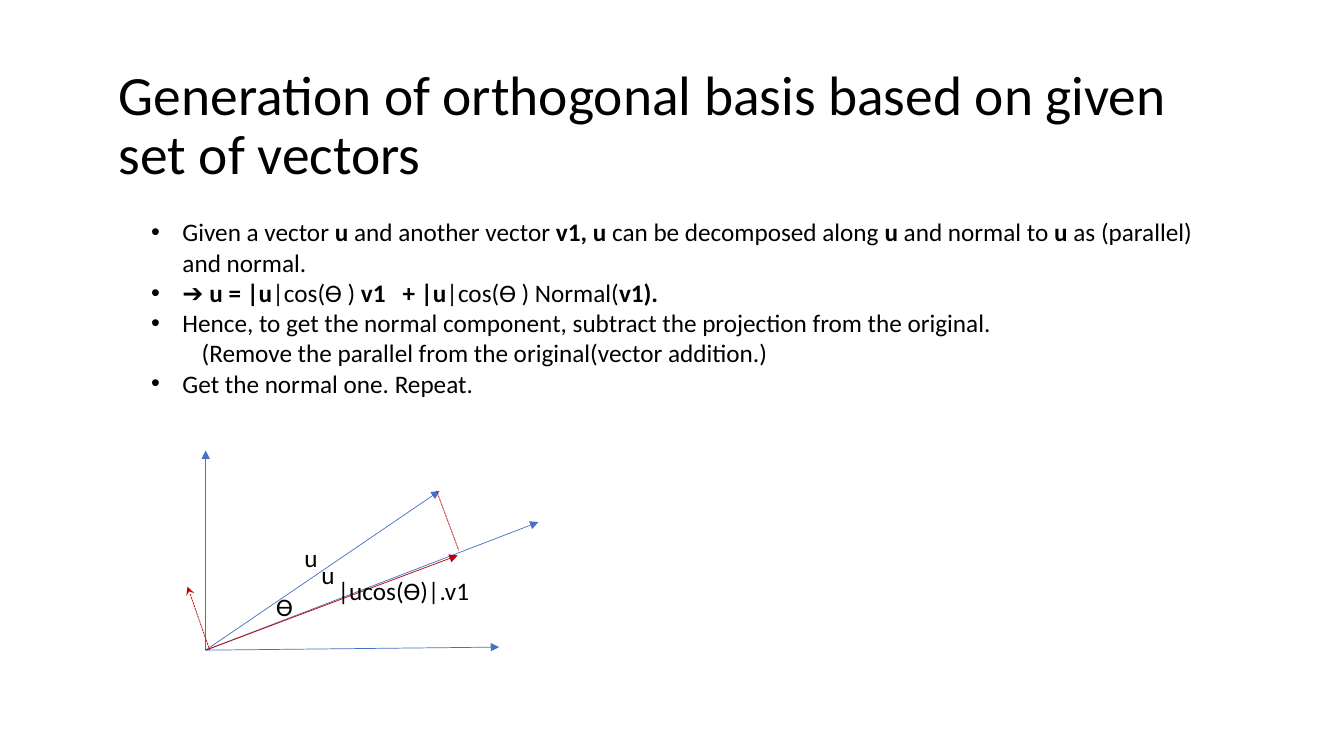
"""Build a slide on generating an orthogonal basis from given vectors."""
from pptx import Presentation
from pptx import util as u
from pptx.dml.color import RGBColor
from pptx.enum import dml, shapes, text
from pptx.oxml.ns import qn
from lxml import etree

COLORS = {"ink": "000000", "vector": "4472C4", "projection": "C00000"}


class SlideBuilder:
    """Hold the style and the current slide, and add elements to it."""

    def __init__(self, deck, font="Calibri", size=18):
        """Start a title-and-content slide."""
        self.slide = deck.slides.add_slide(deck.slide_layouts[1])
        self.font, self.size = font, size

    def place(self, shape, left, top, width, height):
        """Move and size a shape."""
        shape.left, shape.top = u.Inches(left), u.Inches(top)
        shape.width, shape.height = u.Inches(width), u.Inches(height)

    def style(self, paragraph, size=None):
        """Set the font and the left alignment of a paragraph."""
        paragraph.font.name = self.font
        paragraph.font.size = u.Pt(size or self.size)
        paragraph.font.color.rgb = RGBColor.from_string(COLORS["ink"])
        paragraph.alignment = text.PP_ALIGN.LEFT

    def title(self, wording, box):
        """Fill the title placeholder."""
        heading = self.slide.shapes.title
        self.place(heading, *box)
        frame = heading.text_frame
        frame.text = wording
        frame.auto_size = text.MSO_AUTO_SIZE.NONE
        frame.vertical_anchor = text.MSO_ANCHOR.MIDDLE
        frame.paragraphs[0].line_spacing = 0.9
        self.style(frame.paragraphs[0], 39.6)

    def bullets(self, items, box, indent=0.31):
        """Fill the body placeholder; text between asterisks is bold."""
        body = self.slide.placeholders[1]
        self.place(body, *box)
        frame = body.text_frame
        frame.auto_size = text.MSO_AUTO_SIZE.NONE
        for index, item in enumerate(items):
            point = frame.add_paragraph() if index else frame.paragraphs[0]
            self.style(point)
            point.space_before = u.Pt(0)
            props = point._p.get_or_add_pPr()
            props.set("marL", str(u.Inches(indent)))
            props.set("indent", str(u.Inches(-indent)))
            for row, line in enumerate(item.split("\n")):
                if row:
                    point.add_line_break()
                for part, wording in enumerate(line.split("*")):
                    if wording:
                        run = point.add_run()
                        run.text = wording
                        run.font.bold = part % 2 == 1

    def label(self, wording, left, top, width):
        """Add a one-line label."""
        box = self.slide.shapes.add_textbox(
            u.Inches(left), u.Inches(top), u.Inches(width), u.Inches(0.4))
        box.text_frame.word_wrap = True
        box.text_frame.text = wording
        self.style(box.text_frame.paragraphs[0])

    def arrow(self, start, end, color, head=None, dashed=False):
        """Add a thin line with an optional arrowhead at its end."""
        line = self.slide.shapes.add_connector(
            shapes.MSO_CONNECTOR.STRAIGHT, *map(u.Inches, start + end))
        line.line.color.rgb = RGBColor.from_string(COLORS[color])
        line.line.width = u.Pt(0.5)
        if dashed:
            line.line.dash_style = dml.MSO_LINE.SQUARE_DOT
        props = line._element.spPr
        if head:
            etree.SubElement(props.find(qn("a:ln")), qn("a:tailEnd"), type=head)
        etree.SubElement(props, qn("a:effectLst"))


def main():
    """Build and save the deck."""
    deck = Presentation()
    deck.slide_width, deck.slide_height = u.Inches(13.33), u.Inches(7.5)
    page = SlideBuilder(deck)
    page.title("Generation of orthogonal basis based on given set of vectors",
               (1.08, 0.59, 11.36, 1.34))
    page.bullets([
        "Given a vector *u *and another vector *v1, u *can be decomposed along "
        "*u *and normal to *u *as (parallel) and normal.",
        "*➔ u = |u*|cos(ϴ ) *v1   + |u*|cos(ϴ ) Normal(*v1).*",
        "Hence, to get the normal component, subtract the projection from the "
        "original.\n\t(Remove the parallel from the original(vector addition.)",
        "Get the normal one. Repeat.",
    ], (1.4, 2.1, 10.59, 1.92))

    origin = (2.04, 6.45)
    for tip in ((4.95, 6.42), (2.04, 4.47), (4.36, 4.87), (5.34, 5.18)):
        page.arrow(origin, tip, "vector", "triangle")
    page.arrow((4.33, 4.87), (4.55, 5.46), "projection", dashed=True)
    page.arrow(origin, (4.54, 5.51), "projection", "triangle")
    page.arrow((2.08, 6.45), (1.86, 5.82), "projection", "stealth", dashed=True)

    for wording, left, top, width in (
            ("u", 2.92, 5.33, 0.37), ("u", 3.09, 5.5, 0.37),
            ("|ucos(ϴ)|.v1", 3.25, 5.66, 1.68), ("ϴ", 2.64, 5.82, 0.26)):
        page.label(wording, left, top, width)
    deck.save("out.pptx")


if __name__ == "__main__":
    main()
